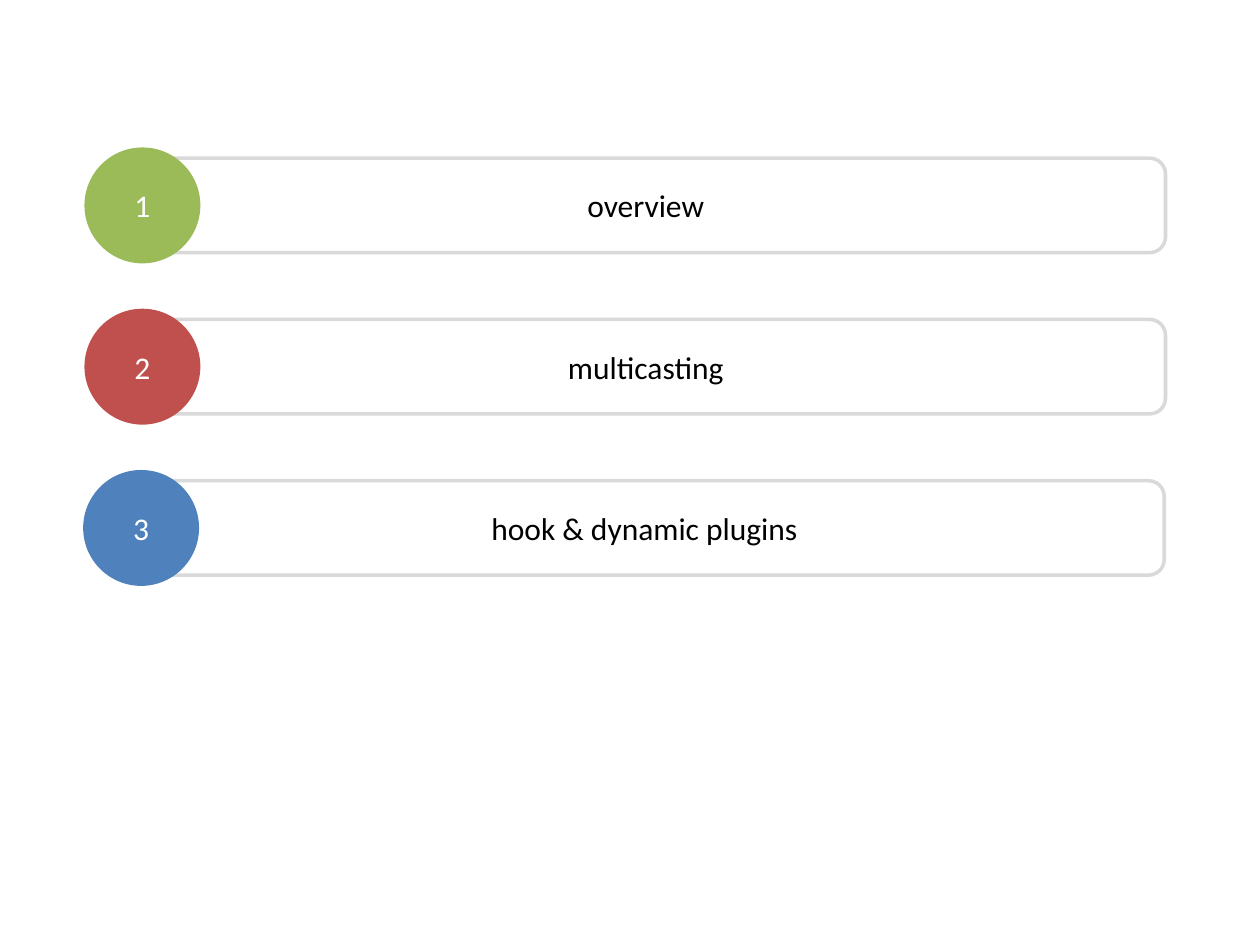
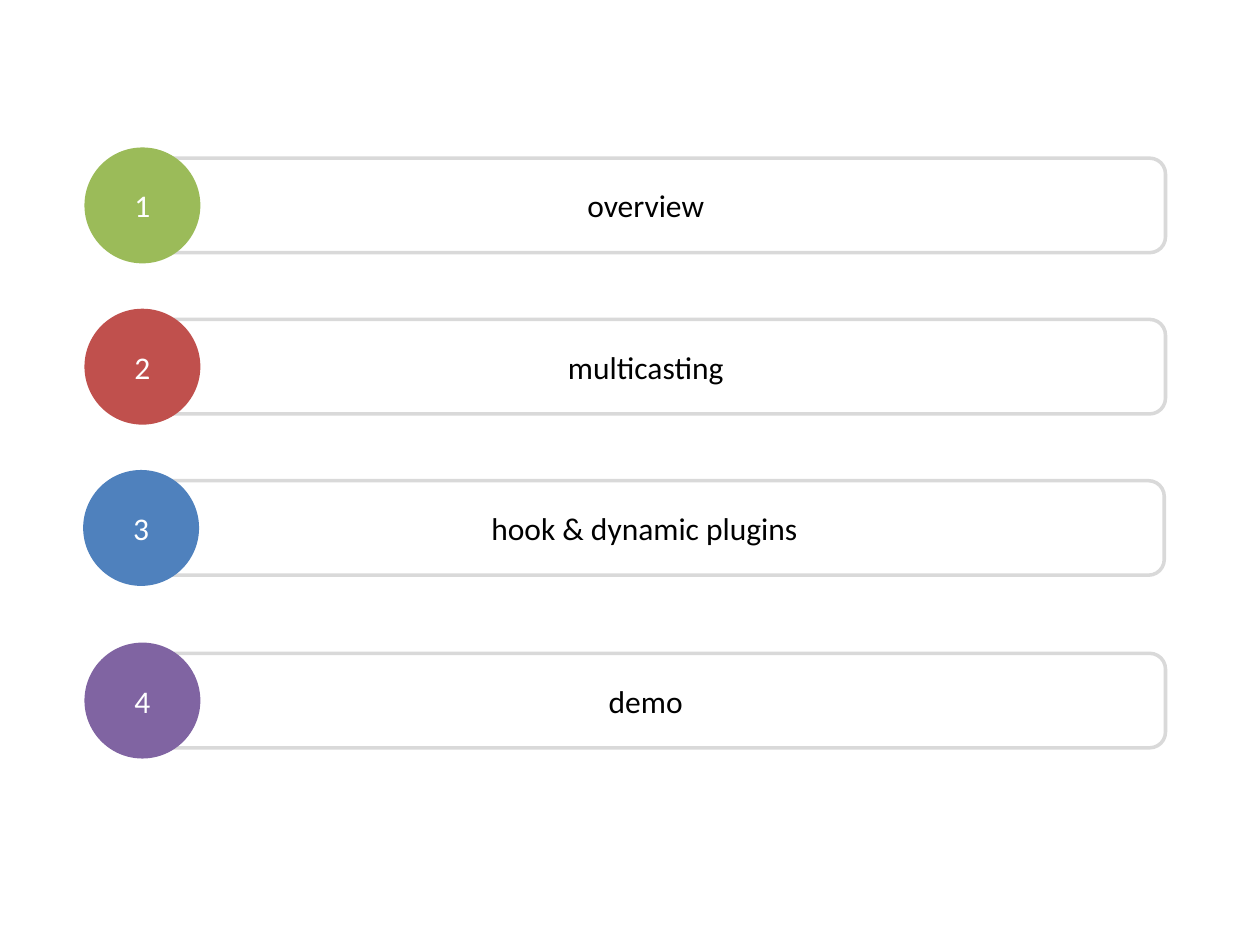
from pptx import Presentation
from pptx.dml.color import RGBColor
from pptx.enum.shapes import MSO_SHAPE
from pptx.enum.text import MSO_ANCHOR, PP_ALIGN
from pptx.util import Inches, Pt

ROUNDED, OVAL = MSO_SHAPE.ROUNDED_RECTANGLE, MSO_SHAPE.OVAL
MIDDLE, CENTER = MSO_ANCHOR.MIDDLE, PP_ALIGN.CENTER
BLANK_LAYOUT = 6

COLORS = {
    "green": "9BBB59", "red": "C0504D", "blue": "4F81BD", "purple": "8064A2",
    "outline": "D9D9D9", "black": "000000", "white": "FFFFFF",
}
FONT = "Calibri"
BADGE_SIZE = 0.92
BAR_HEIGHT = 0.75
BAR_INDENT = 0.33
ROW_WIDTH = 8.58

TOPICS = [
    ("overview", "green", 0.67, 1.17),
    ("multicasting", "red", 0.67, 2.45),
    ("hook & dynamic plugins", "blue", 0.66, 3.73),
    ("demo", "purple", 0.67, 5.1),
]


def rgb(name):
    """Return the named palette colour."""
    return RGBColor.from_string(COLORS[name])


def write_text(shape, text, color="black", size=18):
    """Write centred text in a shape."""
    frame = shape.text_frame
    frame.word_wrap = True
    frame.vertical_anchor = MIDDLE
    paragraph = frame.paragraphs[0]
    paragraph.alignment = CENTER
    run = paragraph.add_run()
    run.text = text
    run.font.name = FONT
    run.font.size = Pt(size)
    run.font.color.rgb = rgb(color)


def add_plain_shape(shapes, kind, box, fill=None, line=None):
    """Add a shadowless shape with an optional fill and outline."""
    shape = shapes.add_shape(kind, *(Inches(length) for length in box))
    shape.shadow.inherit = False
    if fill:
        shape.fill.solid()
        shape.fill.fore_color.rgb = rgb(fill)
    else:
        shape.fill.background()
    if line:
        shape.line.color.rgb = rgb(line)
        shape.line.width = Pt(2)
    else:
        shape.line.fill.background()
    return shape


def add_topic_row(slide, number, topic, color, left, top):
    """Add a numbered badge overlapping the left end of a topic bar."""
    group = slide.shapes.add_group_shape()
    bar_box = (left + BAR_INDENT, top + (BADGE_SIZE - BAR_HEIGHT) / 2,
               ROW_WIDTH - BAR_INDENT, BAR_HEIGHT)
    bar = add_plain_shape(group.shapes, ROUNDED, bar_box, line="outline")
    write_text(bar, topic)
    badge_box = (left, top, BADGE_SIZE, BADGE_SIZE)
    badge = add_plain_shape(group.shapes, OVAL, badge_box, fill=color)
    write_text(badge, str(number), color="white")


def add_agenda_slide(presentation, topics):
    """Add a slide listing the given topics."""
    slide = presentation.slides.add_slide(presentation.slide_layouts[BLANK_LAYOUT])
    for number, topic in enumerate(topics, start=1):
        add_topic_row(slide, number, *topic)


def main():
    """Build the two agenda slides."""
    presentation = Presentation()
    presentation.slide_width = Inches(10)
    presentation.slide_height = Inches(7.5)
    add_agenda_slide(presentation, TOPICS[:3])
    add_agenda_slide(presentation, TOPICS)
    presentation.save("out.pptx")


if __name__ == "__main__":
    main()
